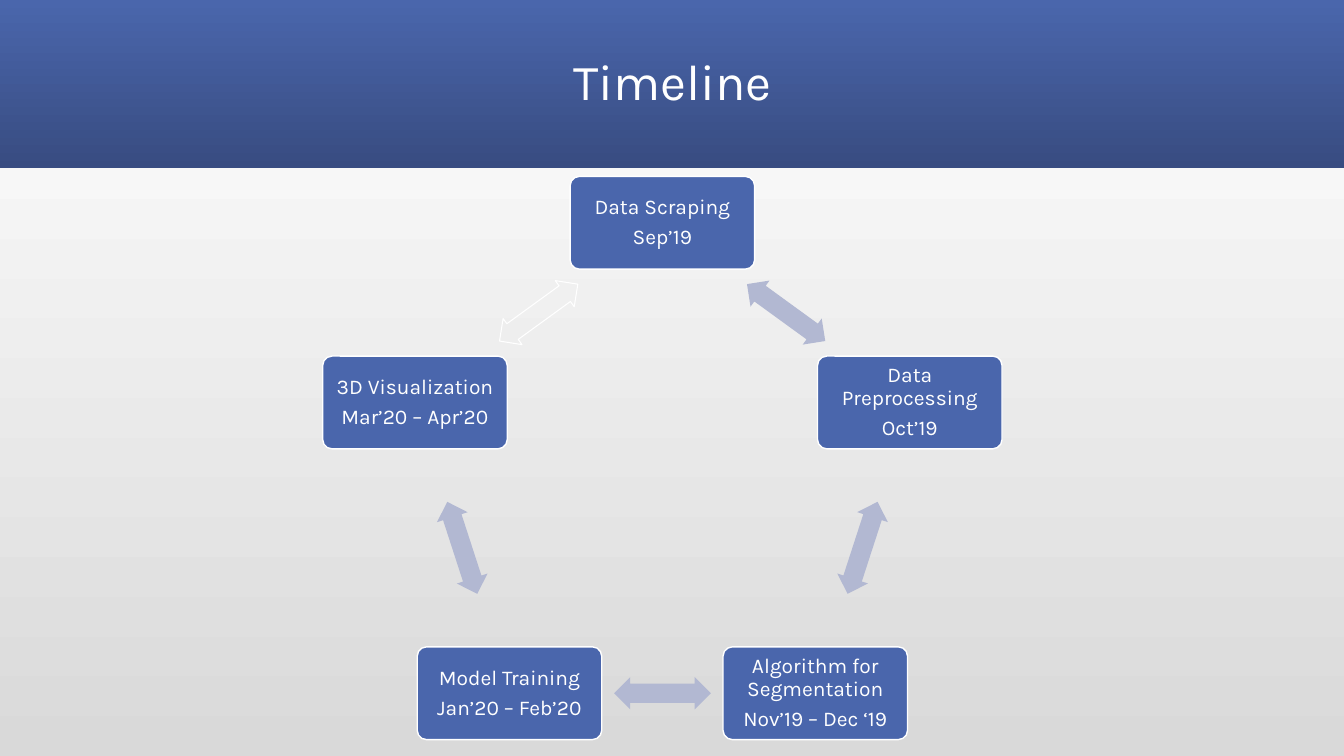
import math
import pptx
import pptx.util
import pptx.dml.color
import pptx.enum.shapes
import pptx.enum.text

Inches = pptx.util.Inches
Pt = pptx.util.Pt
Kind = pptx.enum.shapes.MSO_SHAPE
Align = pptx.enum.text.PP_ALIGN
Anchor = pptx.enum.text.MSO_ANCHOR


def paint(fill, *tones, angle=0):
    colors = [pptx.dml.color.RGBColor.from_string(tone) for tone in tones]
    if len(colors) == 1:
        fill.solid()
        fill.fore_color.rgb = colors[0]
        return
    fill.gradient()
    fill.gradient_angle = angle
    for stop, color in zip(fill.gradient_stops, colors):
        stop.color.rgb = color


def write(para, text, size):
    para.alignment = Align.CENTER
    para.line_spacing = 0.9
    run = para.add_run()
    run.text = text
    run.font.size = Pt(size)
    run.font.name = "Karla"
    paint(run.font.fill, "FFFFFF")


deck = pptx.Presentation()
deck.slide_width = Inches(13.33)
deck.slide_height = Inches(7.5)
slide = deck.slides.add_slide(deck.slide_layouts[5])
shapes = slide.shapes
paint(slide.background.fill, "D9D9D9", "FFFFFF", angle=90)

band = shapes.add_shape(Kind.RECTANGLE, 0, 0, deck.slide_width, Inches(1.67))
band.shadow.inherit = False
band.line.fill.background()
paint(band.fill, "4A66AC", "384C81", angle=270)
shapes._spTree.insert(2, band._element)

title = shapes.title
title.left, title.top = Inches(1.17), Inches(0.11)
title.width, title.height = Inches(11), Inches(1.45)
title.text_frame.vertical_anchor = Anchor.MIDDLE
write(title.text_frame.paragraphs[0], "Timeline", 36)

steps = [
    ("Data Scraping", "Sep’19"),
    ("Data Preprocessing", "Oct’19"),
    ("Algorithm for Segmentation", "Nov’19 – Dec ‘19"),
    ("Model Training", "Jan’20 – Feb’20"),
    ("3D Visualization", "Mar’20 – Apr’20"),
]
mid_x, mid_y, reach = 6.57, 4.79, 2.58
box_w, box_h = 1.83, 0.92
arrow_w, arrow_h = 0.96, 0.32
turn = 360 / len(steps)
inner = reach * math.cos(math.radians(turn / 2))

for i, step in enumerate(steps):
    angle = math.radians(i * turn)
    x = mid_x + reach * math.sin(angle)
    y = mid_y - reach * math.cos(angle)
    box = shapes.add_shape(
        Kind.ROUNDED_RECTANGLE,
        Inches(x - box_w / 2), Inches(y - box_h / 2),
        Inches(box_w), Inches(box_h),
    )
    box.adjustments[0] = 0.1
    box.shadow.inherit = False
    paint(box.fill, "4A66AC")
    paint(box.line.fill, "FFFFFF")
    box.line.width = Pt(1)
    frame = box.text_frame
    frame.word_wrap = True
    frame.vertical_anchor = Anchor.MIDDLE
    frame.margin_left = frame.margin_right = Inches(0.06)
    frame.margin_top = frame.margin_bottom = Inches(0.06)
    for j, text in enumerate(step):
        para = frame.add_paragraph() if j else frame.paragraphs[0]
        para.space_after = Pt(5.25)
        write(para, text, 15)

    angle = math.radians((i + 0.5) * turn)
    x = mid_x + inner * math.sin(angle)
    y = mid_y - inner * math.cos(angle)
    arrow = shapes.add_shape(
        Kind.LEFT_RIGHT_ARROW,
        Inches(x - arrow_w / 2), Inches(y - arrow_h / 2),
        Inches(arrow_w), Inches(arrow_h),
    )
    arrow.adjustments[0] = 0.6
    arrow.adjustments[1] = 0.5
    arrow.rotation = (i + 0.5) * turn
    arrow.shadow.inherit = False
    if i < len(steps) - 1:
        paint(arrow.fill, "B2B8D2")
        arrow.line.fill.background()
    else:
        arrow.fill.background()
        paint(arrow.line.fill, "FFFFFF")
        arrow.line.width = Pt(0.75)

deck.save("out.pptx")
